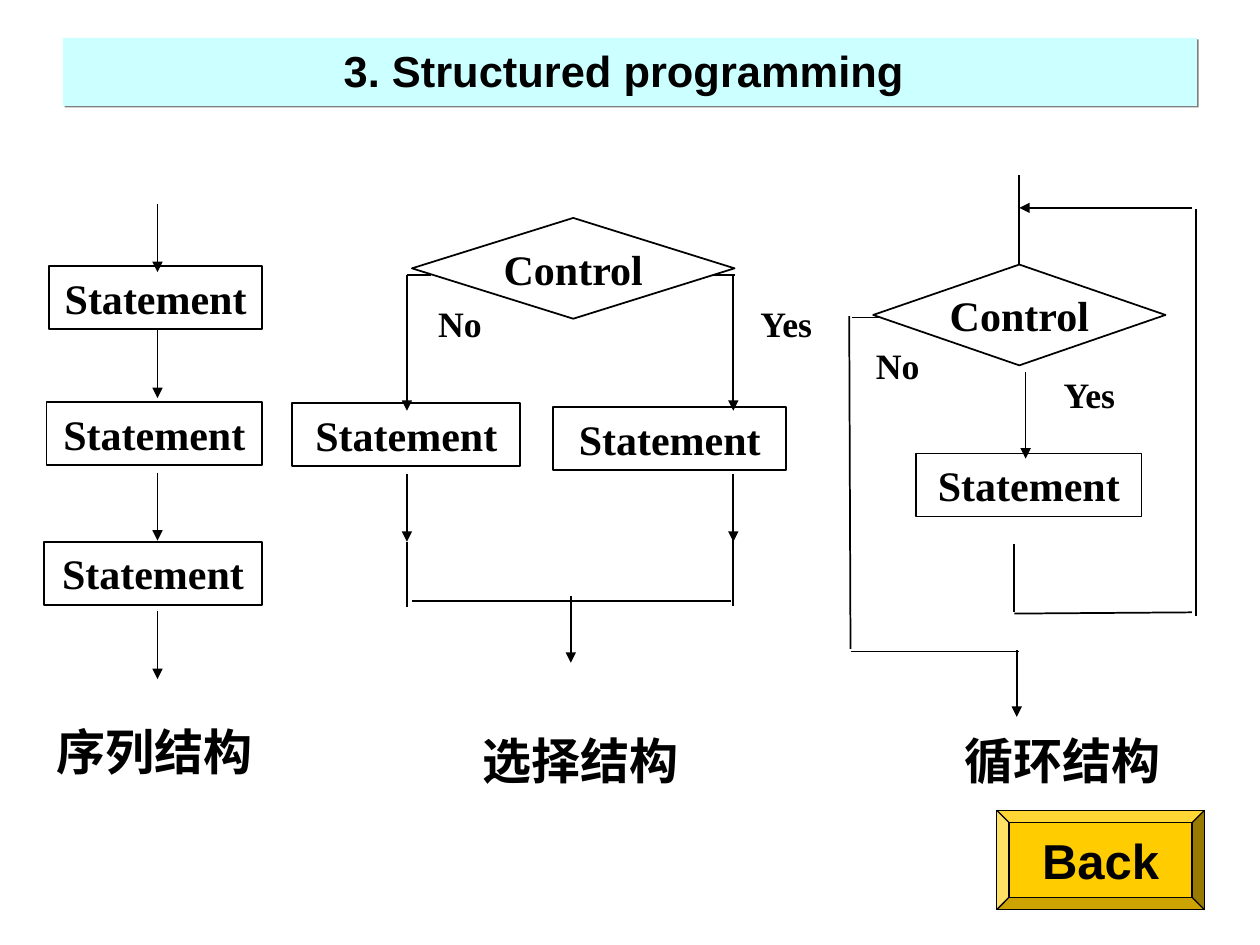
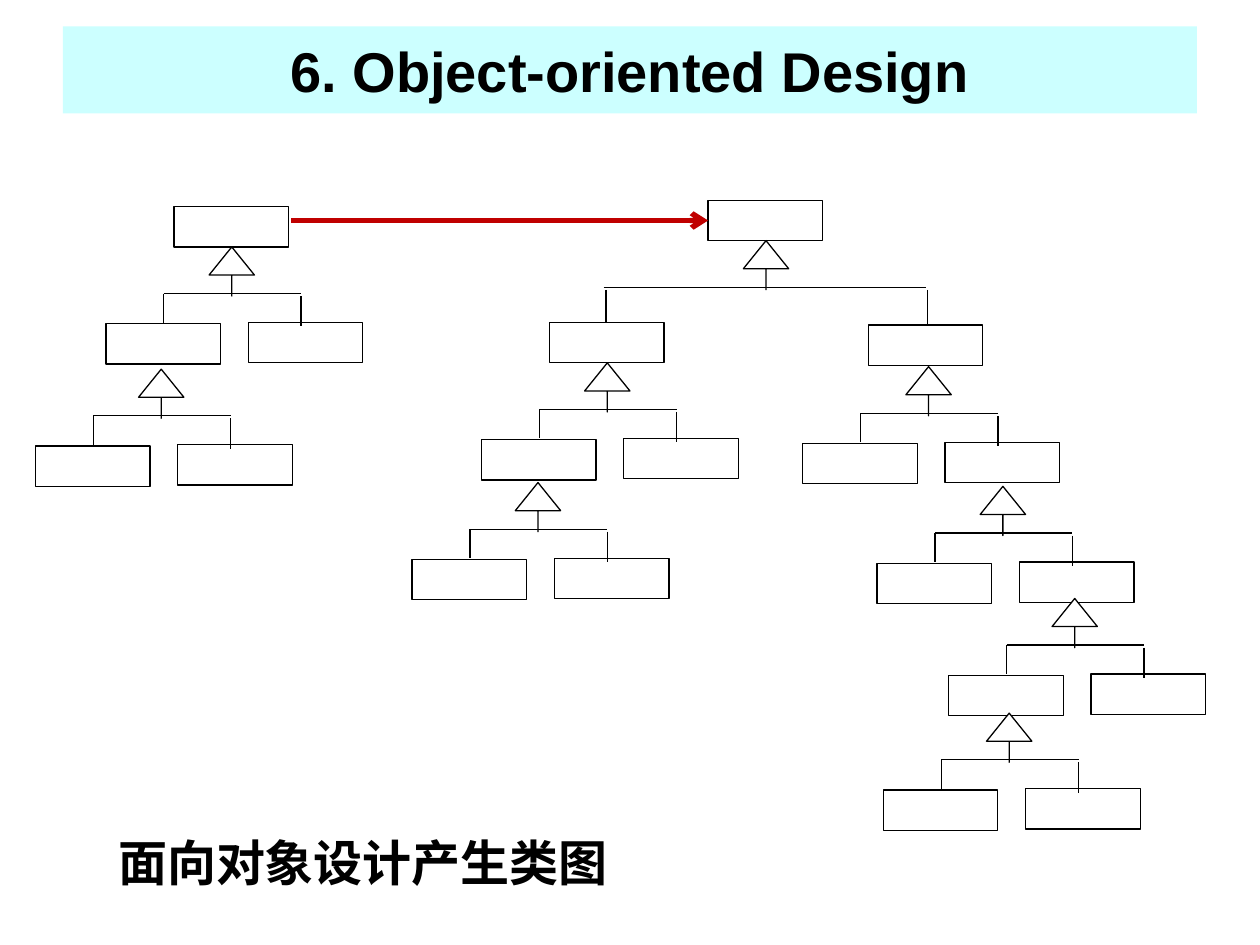
from lxml import etree
from pptx import Presentation
from pptx import util as u
from pptx.dml.color import RGBColor
from pptx.enum import shapes, text
from pptx.oxml.ns import qn

PX = 9144
BLACK = RGBColor(0x00, 0x00, 0x00)
WHITE = RGBColor(0xFF, 0xFF, 0xFF)
GREY = RGBColor(0x80, 0x80, 0x80)
CYAN = RGBColor(0xCC, 0xFF, 0xFF)
GOLD = RGBColor(0xFF, 0xCC, 0x00)
RED = RGBColor(0xC0, 0x00, 0x00)
SANS, SERIF, CHINESE = "Arial", "Times New Roman", "Noto Sans CJK SC"
KIND = shapes.MSO_SHAPE

STATEMENTS = [
    (39, 211, 169, 50), (37, 319, 171, 50), (35, 430, 173, 50),
    (232, 320, 181, 50), (439, 323, 185, 50), (727, 360, 179, 50),
]
CONTROLS = [(327, 173, 256, 80), (693, 210, 232, 80)]
ANSWERS = [
    ("No", (334, 243, 62, 35)), ("Yes", (598, 243, 52, 35)),
    ("No", (686, 277, 53, 35)), ("Yes", (824, 300, 81, 35)),
]
CAPTIONS = [
    ("序列结构", (20, 573, 205, 47)),
    ("选择结构", (366, 580, 189, 47)),
    ("循环结构", (731, 580, 225, 47)),
]
SEQUENCE_ARROWS = [(125, top, 125, top + 54) for top in (162, 262, 375, 485)]
SELECTION_ARROWS = [
    (x, top, x, bottom) for x in (323, 582) for top, bottom in ((218, 326), (376, 430))
] + [(453, 473, 453, 526)]
LOOP_ARROWS = [
    (814, 295, 814, 364), (809, 139, 809, 219),
    (946, 165, 809, 165), (807, 516, 807, 569),
]
FLOW_ARROWS = SEQUENCE_ARROWS + SELECTION_ARROWS + LOOP_ARROWS
FLOW_LINES = [
    (544, 218, 583, 218), (323, 218, 342, 218),
    (323, 430, 323, 482), (582, 427, 582, 481), (327, 477, 580, 477),
    (805, 432, 805, 486), (805, 487, 946, 486), (949, 166, 949, 489),
    (676, 252, 710, 252), (674, 251, 675, 515), (675, 517, 809, 517),
]

CLASS_SIZE = (91, 32)
ROOT_CLASSES = [(138, 164), (562, 159)]
NARROW = {
    "classes": [(-82, 61), (31, 60)],
    "bar": (-36, 73),
    "drops": [(-36, 37, 60), (73, 39, 63)],
}
WIDE = {
    "classes": [(-154, 65), (99, 67)],
    "bar": (-111, 145),
    "drops": [(-109, 39, 65), (146, 39, 67)],
}
BRANCHES = [
    (166, 196, NARROW), (110, 293, NARROW),
    (590, 191, WIDE),
    (464, 288, NARROW), (409, 383, NARROW),
    (719, 291, NARROW), (778, 386, NARROW), (835, 475, NARROW), (783, 566, NARROW),
]


def add_shape(page, kind, place, fill=WHITE, line=None):
    shape = page.shapes.add_shape(kind, *(n * PX for n in place))
    shape.shadow.inherit = False
    shape.fill.solid()
    shape.fill.fore_color.rgb = fill
    if line:
        shape.line.color.rgb = BLACK
        shape.line.width = u.Pt(line)
    else:
        shape.line.fill.background()
    return shape


def write(box, words, size, font, inset=True, anchor=text.MSO_ANCHOR.TOP,
          align=text.PP_ALIGN.CENTER, wrap=True):
    frame = box.text_frame
    frame.text = words
    frame.word_wrap = wrap
    frame.vertical_anchor = anchor
    frame.margin_left = frame.margin_right = 10 * PX if inset else 0
    frame.margin_top = frame.margin_bottom = 5 * PX if inset else 0
    para = frame.paragraphs[0]
    para.alignment = align
    span = para.runs[0]
    span.font.size = u.Pt(size)
    span.font.bold = True
    span.font.name = font
    span.font.color.rgb = BLACK
    etree.SubElement(span.font._element, qn("a:ea"), typeface=font)
    return para


def add_line(page, ends, width=1, color=BLACK, head=None):
    line = page.shapes.add_connector(shapes.MSO_CONNECTOR.STRAIGHT, *(n * PX for n in ends))
    line.line.color.rgb = color
    line.line.width = u.Pt(width)
    if head:
        etree.SubElement(line.line._get_or_add_ln(), qn("a:tailEnd"), type=head)
    etree.SubElement(line._element.spPr, qn("a:effectLst"))
    return line


def add_title(page, words, top, height, size, anchor):
    band = add_shape(page, KIND.RECTANGLE, (50, top, 900, height), CYAN)
    write(band, words, size, SANS, anchor=anchor)
    return band


def add_hard_shadow(shape):
    effects = shape._element.spPr.find(qn("a:effectLst"))
    shadow = etree.SubElement(effects, qn("a:outerShdw"), dist="17961", dir="2700000")
    etree.SubElement(shadow, qn("a:srgbClr"), val=str(GREY))


def add_class(page, left, top):
    return add_shape(page, KIND.RECTANGLE, (left, top, *CLASS_SIZE), line=0.75)


def add_branch(page, x, y, layout):
    for dx, dy in layout["classes"]:
        add_class(page, x + dx, y + dy)
    left, right = layout["bar"]
    add_line(page, (x + left, y + 37, x + right, y + 37), 0.75)
    for dx, top, bottom in layout["drops"]:
        add_line(page, (x + dx, y + top, x + dx, y + bottom), 0.75)
    arrow = add_shape(page, KIND.UP_ARROW, (x, y, 36, 39), line=0.75)
    arrow.adjustments[0] = 0
    arrow.adjustments[1] = 0.62


def build_structures(page):
    for place in STATEMENTS:
        box = add_shape(page, KIND.RECTANGLE, place, line=1)
        write(box, "Statement", 24, SERIF)
    for words, place in CAPTIONS:
        write(add_shape(page, KIND.RECTANGLE, place), words, 28, CHINESE, inset=False)
    for ends in FLOW_LINES:
        add_line(page, ends)
    for ends in FLOW_ARROWS:
        add_line(page, ends, head="triangle")
    for words, place in ANSWERS:
        box = add_shape(page, KIND.RECTANGLE, place)
        write(box, words, 20.4, SERIF, inset=False).line_spacing = 0.9
    for place in CONTROLS:
        diamond = add_shape(page, KIND.DIAMOND, place, line=1)
        write(diamond, "Control", 24, SERIF, inset=False)
    band = add_title(page, "3. Structured programming ", 30, 54, 24.8, text.MSO_ANCHOR.TOP)
    add_hard_shadow(band)
    button = add_shape(page, KIND.BEVEL, (791, 643, 165, 79), GOLD, 0.75)
    write(button, "Back", 28, SANS, anchor=text.MSO_ANCHOR.MIDDLE, wrap=False)


def build_classes(page):
    roots = [add_class(page, *corner) for corner in ROOT_CLASSES]
    for branch in BRANCHES:
        add_branch(page, *branch)
    link = add_line(page, (231, 175, 562, 175), 3, RED, "arrow")
    link.end_connect(roots[1], 1)
    note = page.shapes.add_textbox(*(n * PX for n in (84, 656, 447, 57)))
    write(note, "面向对象设计产生类图", 28, CHINESE, align=text.PP_ALIGN.LEFT)
    add_title(page, "6. Object-oriented Design", 21, 69, 32, text.MSO_ANCHOR.MIDDLE)


def main():
    deck = Presentation()
    deck.slide_width, deck.slide_height = 1000 * PX, 750 * PX
    for build in (build_structures, build_classes):
        build(deck.slides.add_slide(deck.slide_layouts[6]))
    deck.save("out.pptx")


if __name__ == "__main__":
    main()
